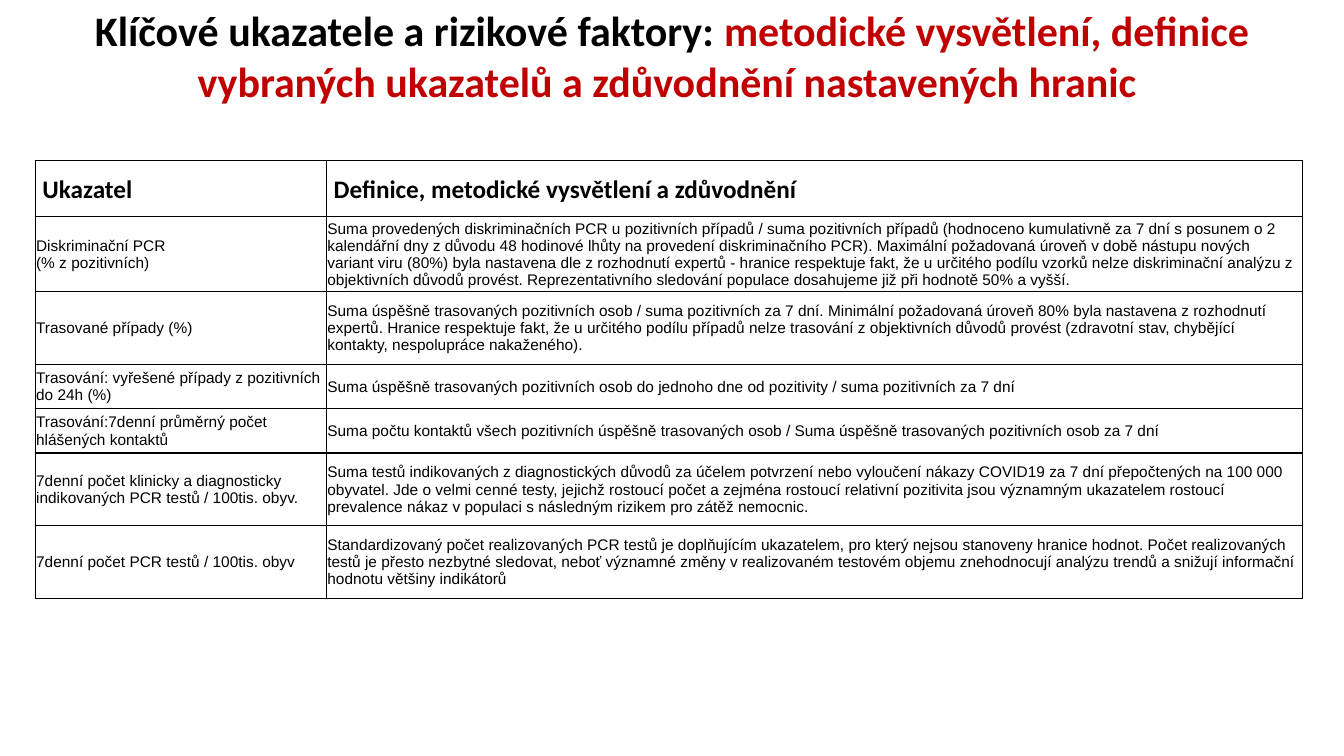
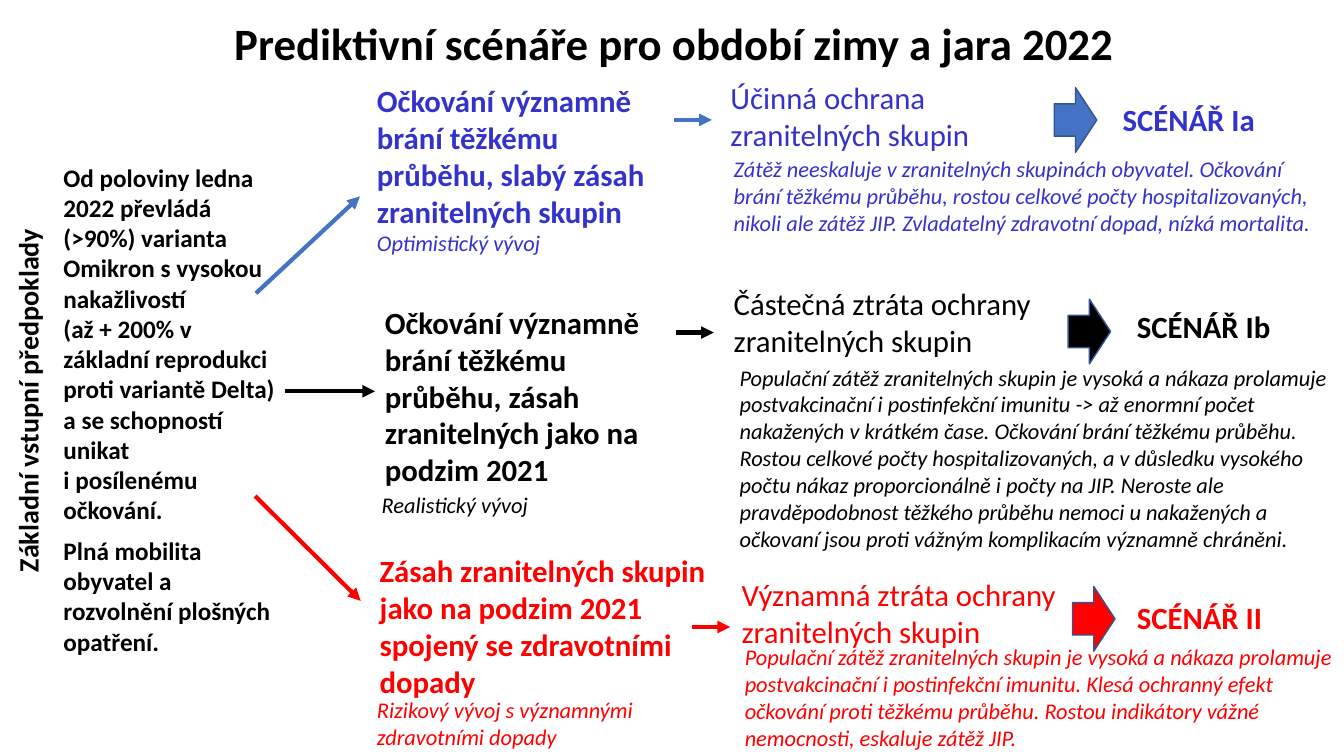
from dataclasses import dataclass
from typing import NamedTuple

from pptx import Presentation
from pptx.dml.color import RGBColor
from pptx.enum.shapes import MSO_CONNECTOR as Connector, MSO_SHAPE as Preset
from pptx.enum.text import MSO_ANCHOR as Anchor, MSO_AUTO_SIZE as AutoSize, PP_ALIGN as Align
from pptx.oxml.ns import qn
from pptx.slide import Slide
from pptx.util import Cm, Pt
from lxml.etree import SubElement

BLACK, WHITE, DARK_RED = "000000", "FFFFFF", "C00000"
INDIGO, BLUE, RED, ARROW_EDGE = "3333CC", "4472C4", "FF0000", "325491"


class Box(NamedTuple):
    left: float
    top: float
    width: float
    height: float


class Arrow(NamedTuple):
    x1: float
    y1: float
    x2: float
    y2: float


class Style(NamedTuple):
    size: float
    bold: bool = False
    italic: bool = False
    name: str = "Calibri"


TITLE_LONG, TITLE = Style(30, bold=True), Style(32, bold=True)
AXIS, ASSUMPTION = Style(20, bold=True), Style(18, bold=True)
STRONG, PLAIN, NOTE = Style(22, bold=True), Style(22), Style(16, italic=True)
HEADER, BODY = Style(18, bold=True), Style(11, name="Arial")
HEADER_MARGINS = {"margin_left": 0.18, "margin_right": 0.18, "margin_top": 0, "margin_bottom": 0}
BODY_MARGINS = {"margin_left": 0.02, "margin_right": 0.02, "margin_top": 0.02, "margin_bottom": 0}


@dataclass
class Scenario:
    text_color: str
    arrow_color: str
    name: str
    name_at: tuple[float, float]
    cause: str
    cause_box: Box
    outlook: str
    outlook_box: Box
    protection: str
    protection_box: Box
    impact: str
    impact_box: Box
    branch: Arrow
    step_at: tuple[float, float]
    block_at: tuple[float, float]


INDICATORS = [
    (1.42, "Ukazatel", "Definice, metodické vysvětlení a zdůvodnění"),
    (1.83, "Diskriminační PCR\n(% z pozitivních)",
     "Suma provedených diskriminačních PCR u pozitivních případů / suma pozitivních případů "
     "(hodnoceno kumulativně za 7 dní s posunem o 2 kalendářní dny z důvodu 48 hodinové lhůty na "
     "provedení diskriminačního PCR). Maximální požadovaná úroveň v době nástupu nových variant viru "
     "(80%) byla nastavena dle z rozhodnutí expertů - hranice respektuje fakt, že u určitého podílu "
     "vzorků nelze diskriminační analýzu z objektivních důvodů provést. Reprezentativního sledování "
     "populace dosahujeme již při hodnotě 50% a vyšší."),
    (1.83, "Trasované případy (%)",
     "Suma úspěšně trasovaných pozitivních osob / suma pozitivních za 7 dní. Minimální požadovaná "
     "úroveň 80% byla nastavena z rozhodnutí expertů. Hranice respektuje fakt, že u určitého podílu "
     "případů nelze trasování z objektivních důvodů provést (zdravotní stav, chybějící kontakty, "
     "nespolupráce nakaženého)."),
    (1.12, "Trasování: vyřešené případy z pozitivních do 24h (%)",
     "Suma úspěšně trasovaných pozitivních osob do jednoho dne od pozitivity / suma pozitivních za 7 dní"),
    (1.12, "Trasování:7denní průměrný počet hlášených kontaktů",
     "Suma počtu kontaktů všech pozitivních úspěšně trasovaných osob / "
     "Suma úspěšně trasovaných pozitivních osob za 7 dní"),
    (1.83, "7denní počet klinicky a diagnosticky indikovaných PCR testů / 100tis. obyv.",
     "Suma testů indikovaných z diagnostických důvodů za účelem potvrzení nebo vyloučení nákazy "
     "COVID19 za 7 dní přepočtených na 100 000 obyvatel. Jde o velmi cenné testy, jejichž rostoucí "
     "počet a zejména rostoucí relativní pozitivita jsou významným ukazatelem rostoucí prevalence "
     "nákaz v populaci s následným rizikem pro zátěž nemocnic."),
    (1.83, "7denní počet PCR testů / 100tis. obyv",
     "Standardizovaný počet realizovaných PCR testů je doplňujícím ukazatelem, pro který nejsou "
     "stanoveny hranice hodnot. Počet realizovaných testů je přesto nezbytné sledovat, neboť významné "
     "změny v realizovaném testovém objemu znehodnocují analýzu trendů a snižují informační hodnotu "
     "většiny indikátorů"),
]

SCENARIOS = [
    Scenario(
        INDIGO, BLUE, "SCÉNÁŘ Ia", (28.04, 2.41),
        "Očkování významně brání těžkému průběhu, slabý zásah zranitelných skupin",
        Box(9.25, 1.93, 8.13, 4.01),
        "Optimistický vývoj", Box(9.25, 5.66, 7.49, 0.94),
        "Účinná ochrana zranitelných skupin", Box(18.16, 1.85, 7.8, 2.13),
        "Zátěž neeskaluje v zranitelných skupinách obyvatel. Očkování brání těžkému průběhu, rostou "
        "celkové počty hospitalizovaných, nikoli ale zátěž JIP. Zvladatelný zdravotní dopad, nízká "
        "mortalita.", Box(18.24, 3.78, 15.29, 2.31),
        Arrow(6.45, 7.39, 9.07, 4.95), (16.99, 3.02), (26.57, 2.21)),
    Scenario(
        BLACK, BLACK, "SCÉNÁŘ Ib", (28.4, 7.62),
        "Očkování významně brání těžkému průběhu, zásah zranitelných jako na podzim 2021",
        Box(9.45, 7.52, 7.62, 4.95),
        "Realistický vývoj", Box(9.37, 12.24, 8.2, 0.94),
        "Částečná ztráta ochrany zranitelných skupin", Box(18.24, 7.06, 8.33, 2.13),
        "Populační zátěž zranitelných skupin je vysoká a nákaza prolamuje postvakcinační i "
        "postinfekční imunitu -> až enormní počet nakažených v krátkém čase. Očkování brání těžkému "
        "průběhu. Rostou celkové počty hospitalizovaných, a v důsledku vysokého počtu nákaz "
        "proporcionálně i počty na JIP. Neroste ale pravděpodobnost těžkého průběhu nemoci u "
        "nakažených a očkovaní jsou proti vážným komplikacím významně chráněni.",
        Box(18.39, 9.04, 15.34, 5.05),
        Arrow(7.19, 9.86, 9.45, 9.86), (17.04, 8.38), (26.92, 7.54)),
    Scenario(
        RED, RED, "SCÉNÁŘ II", (28.4, 14.96),
        "Zásah zranitelných skupin jako na podzim 2021 spojený se zdravotními dopady",
        Box(9.32, 13.77, 8.94, 4.01),
        "Rizikový vývoj s významnými zdravotními dopady", Box(9.25, 17.42, 7.7, 1.63),
        "Významná ztráta ochrany zranitelných skupin", Box(18.44, 14.38, 9.07, 2.13),
        "Populační zátěž zranitelných skupin je vysoká a nákaza prolamuje postvakcinační i "
        "postinfekční imunitu. Klesá ochranný efekt očkování proti těžkému průběhu. Rostou indikátory "
        "vážné nemocnosti, eskaluje zátěž JIP.", Box(18.52, 16.08, 15.32, 3),
        Arrow(6.43, 12.5, 9.09, 15.14), (17.45, 15.8), (27.03, 14.78)),
]


def rgb(code: str) -> RGBColor:
    return RGBColor.from_string(code)


def cm(values: tuple) -> list[Cm]:
    return [Cm(value) for value in values]


def add_run(paragraph, text: str, style: Style, color: str) -> None:
    run = paragraph.add_run()
    run.text = text
    for key, value in (style._asdict() | {"size": Pt(style.size)}).items():
        setattr(run.font, key, value)
    run.font.color.rgb = rgb(color)


def add_text(slide: Slide, box: Box, paragraphs: list[list[tuple[str, str]]], style: Style,
             align: Align = Align.LEFT, rotation: float = 0) -> None:
    """Each paragraph is a list of (text, colour) runs."""
    area = slide.shapes.add_textbox(*cm(box))
    area.rotation = rotation
    frame = area.text_frame
    for key, value in {"word_wrap": True, "auto_size": AutoSize.SHAPE_TO_FIT_TEXT}.items():
        setattr(frame, key, value)
    for index, runs in enumerate(paragraphs):
        paragraph = frame.add_paragraph() if index else frame.paragraphs[0]
        paragraph.alignment = align
        for text, color in runs:
            add_run(paragraph, text, style, color)


def add_title(slide: Slide, box: Box, runs: list[tuple[str, str]], style: Style) -> None:
    add_text(slide, box, [runs], style, Align.CENTER)


def add_arrow(slide: Slide, arrow: Arrow, color: str) -> None:
    link = slide.shapes.add_connector(Connector.STRAIGHT, *cm(arrow))
    link.line.color.rgb = rgb(color)
    link.line.width = Pt(3)
    SubElement(link.line._get_or_add_ln(), qn("a:tailEnd"), type="triangle")
    SubElement(link._element.spPr, qn("a:effectLst"))


def add_block_arrow(slide: Slide, box: Box, color: str) -> None:
    block = slide.shapes.add_shape(Preset.RIGHT_ARROW, *cm(box))
    block.shadow.inherit = False
    block.fill.solid()
    block.fill.fore_color.rgb = rgb(color)
    block.line.color.rgb = rgb(ARROW_EDGE)
    block.line.width = Pt(1)


def add_borders(cell) -> None:
    properties = cell._tc.get_or_add_tcPr()
    for position, side in enumerate(("lnL", "lnR", "lnT", "lnB")):
        line = properties.makeelement(qn(f"a:{side}"), {"w": str(Pt(1))})
        SubElement(SubElement(line, qn("a:solidFill")), qn("a:srgbClr"), val=BLACK)
        properties.insert(position, line)


def fill_cell(cell, text: str, is_header: bool) -> None:
    margins = HEADER_MARGINS if is_header else BODY_MARGINS
    for key, value in margins.items():
        setattr(cell, key, Cm(value))
    cell.vertical_anchor = Anchor.MIDDLE
    cell.fill.solid()
    cell.fill.fore_color.rgb = rgb(WHITE)
    add_borders(cell)
    for index, line in enumerate(text.split("\n")):
        frame = cell.text_frame
        paragraph = frame.add_paragraph() if index else frame.paragraphs[0]
        if is_header:
            paragraph.line_spacing = 1.07
        add_run(paragraph, line, HEADER if is_header else BODY, BLACK)


def build_indicators(slide: Slide) -> None:
    add_title(slide, Box(0.43, 0, 33.02, 2.82), [
        ("Klíčové ukazatele a rizikové faktory: ", BLACK),
        ("metodické vysvětlení, definice vybraných ukazatelů a zdůvodnění nastavených hranic ", DARK_RED),
    ], TITLE_LONG)
    widths = (7.34, 24.59)
    height = sum(row[0] for row in INDICATORS)
    table = slide.shapes.add_table(
        len(INDICATORS), len(widths), *cm((0.89, 4.04, sum(widths), height))).table
    for flag in ("first_row", "horz_banding"):
        setattr(table, flag, False)
    for column, width in zip(table.columns, widths):
        column.width = Cm(width)
    for index, (row_height, *texts) in enumerate(INDICATORS):
        table.rows[index].height = Cm(row_height)
        for cell, text in zip(table.rows[index].cells, texts):
            fill_cell(cell, text, index == 0)


def add_scenario(slide: Slide, scenario: Scenario) -> None:
    step_x, step_y = scenario.step_at
    add_arrow(slide, scenario.branch, scenario.arrow_color)
    add_arrow(slide, Arrow(step_x, step_y, step_x + 0.95, step_y), scenario.arrow_color)
    add_block_arrow(slide, Box(*scenario.block_at, 1.07, 1.63), scenario.arrow_color)
    for box, text, style in (
        (scenario.cause_box, scenario.cause, STRONG),
        (scenario.outlook_box, scenario.outlook, NOTE),
        (scenario.protection_box, scenario.protection, PLAIN),
        (scenario.impact_box, scenario.impact, NOTE),
        (Box(*scenario.name_at, 5.23, 1.19), scenario.name, STRONG),
    ):
        add_text(slide, box, [[(text, scenario.text_color)]], style)


def build_scenarios(slide: Slide) -> None:
    add_title(slide, Box(0.48, 0.28, 33.02, 1.63),
              [("Prediktivní scénáře pro období zimy a jara 2022", BLACK)], TITLE)
    add_text(slide, Box(-4.06, 9.53, 9.53, 1.12), [[("Základní vstupní předpoklady", BLACK)]],
             AXIS, Align.CENTER, 270)
    variant = (
        "Od poloviny ledna 2022 převládá (>90%) varianta Omikron s vysokou nakažlivostí",
        "(až + 200% v základní reprodukci proti variantě Delta) a se schopností unikat",
        "i posílenému očkování.",
    )
    add_text(slide, Box(1.35, 3.96, 5.87, 9.5), [[(text, BLACK)] for text in variant], ASSUMPTION)
    add_text(slide, Box(1.35, 13.36, 6.05, 3.33),
             [[("Plná mobilita obyvatel a rozvolnění plošných opatření.", BLACK)]], ASSUMPTION)
    for scenario in SCENARIOS:
        add_scenario(slide, scenario)


def main() -> None:
    deck = Presentation()
    deck.slide_width, deck.slide_height = cm((33.87, 19.05))
    for build in (build_indicators, build_scenarios):
        build(deck.slides.add_slide(deck.slide_layouts[6]))
    deck.save("out.pptx")


if __name__ == "__main__":
    main()
